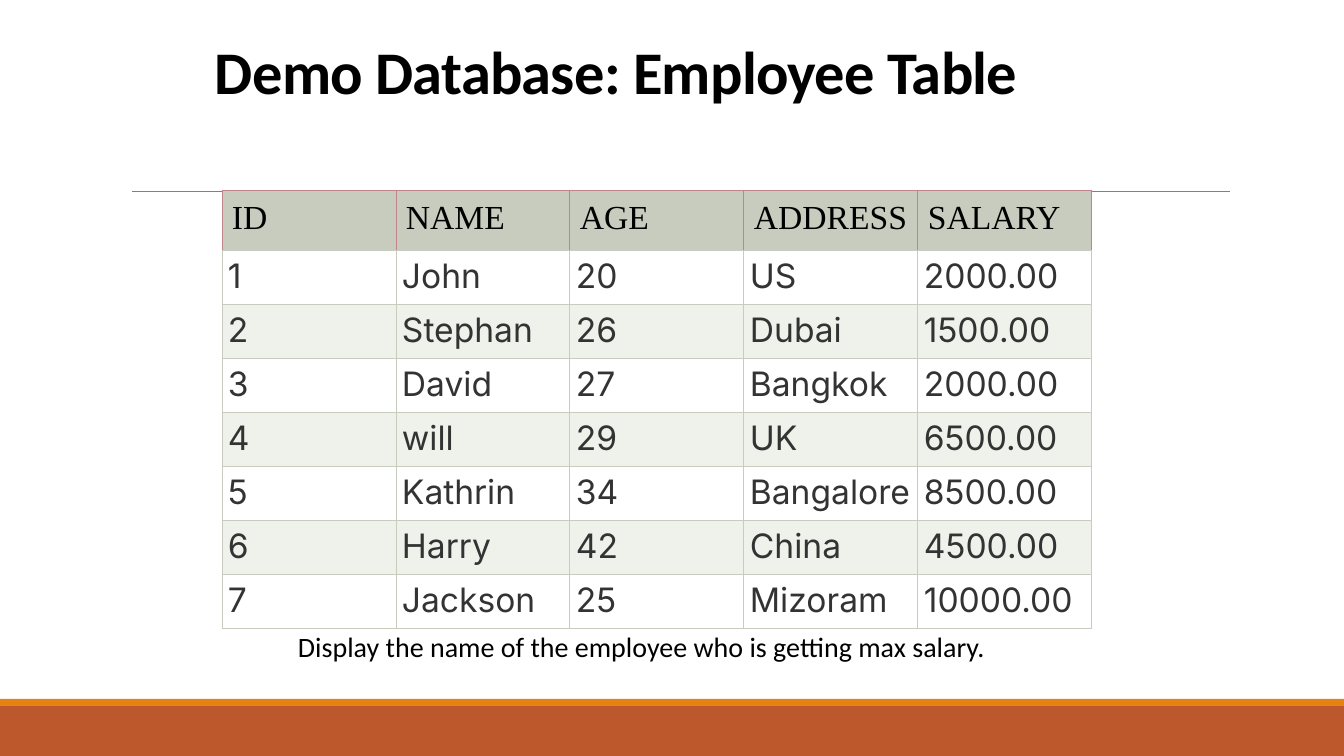
from lxml import etree
from pptx import Presentation
from pptx.dml.color import RGBColor
from pptx.enum.shapes import MSO_CONNECTOR, MSO_SHAPE
from pptx.enum.text import MSO_ANCHOR, PP_ALIGN
from pptx.oxml.ns import qn
from pptx.util import Emu, Pt

RECT, STRAIGHT = MSO_SHAPE.RECTANGLE, MSO_CONNECTOR.STRAIGHT
MIDDLE, TOP = MSO_ANCHOR.MIDDLE, MSO_ANCHOR.TOP
LEFT, JUSTIFY = PP_ALIGN.LEFT, PP_ALIGN.JUSTIFY

TITLE = "Demo Database: Employee Table"
TASK = "Display the name of the employee who is getting max salary."
HEADER = ("ID", "NAME", "AGE", "ADDRESS", "SALARY")
EMPLOYEES = [
    ("1", "John", "20", "US", "2000.00"),
    ("2", "Stephan", "26", "Dubai", "1500.00"),
    ("3", "David", "27", "Bangkok", "2000.00"),
    ("4", "will", "29", "UK", "6500.00"),
    ("5", "Kathrin", "34", "Bangalore", "8500.00"),
    ("6", "Harry", "42", "China", "4500.00"),
    ("7", "Jackson", "25", "Mizoram", "10000.00"),
]


class Theme:
    title_size, cell_size, task_size = 43.2, 24, 20
    text_font, header_font, body_font = "Calibri", "Times New Roman", "Inter"
    ink, body_ink = "000000", "333333"
    band, stripe, rule = "BD582C", "E48312", "808080"
    header_fill, row_fills = "C7CCBE", ("FFFFFF", "EFF1EB")
    grid, header_edge = "C7CCBE", "C0858A"
    rule_width, border_width = 0.5, 0.75


SLIDE_W, SLIDE_H = 1344, 756
BAND_H, STRIPE_H = 50, 7
TABLE_X, TABLE_Y, COL_W = 222, 190, 174
HEADER_H, ROW_H = 57, 54
HEADER_INSET, BODY_INSET = 10, 6


def px(n):
    return Emu(round(n * 914400 / 100.8))


def rgb(value):
    return RGBColor.from_string(value)


def style_run(p, font, size, color, bold=False):
    r = p.runs[0]
    r.font.name, r.font.size, r.font.bold = font, Pt(size), bold
    r.font.color.rgb = rgb(color)
    return r


def add_bar(s, y, h, color):
    sp = s.shapes.add_shape(RECT, 0, px(y), px(SLIDE_W), px(h))
    sp.shadow.inherit = False
    sp.fill.solid()
    sp.fill.fore_color.rgb = rgb(color)
    sp.line.fill.background()


def add_rule(s, x1, x2, y):
    line = s.shapes.add_connector(STRAIGHT, px(x1), px(y), px(x2), px(y))
    line.line.color.rgb = rgb(Theme.rule)
    line.line.width = Pt(Theme.rule_width)
    etree.SubElement(line._element.spPr, qn("a:effectLst"))


def add_text(s, box, text, size, anchor, bold=False):
    tf = s.shapes.add_textbox(*map(px, box)).text_frame
    tf.word_wrap, tf.vertical_anchor = True, anchor
    tf.margin_left = tf.margin_right = px(10)
    tf.margin_top = tf.margin_bottom = px(5)
    tf.text = text
    p = tf.paragraphs[0]
    return p, style_run(p, Theme.text_font, size, Theme.ink, bold)


def set_borders(cell, edge, bottom):
    """Insert the four borders ahead of the cell's fill, as the schema requires."""
    tc_pr = cell._tc.get_or_add_tcPr()
    sides = (("L", edge), ("R", edge), ("T", edge), ("B", bottom))
    for i, (side, color) in enumerate(sides):
        ln = etree.Element(qn("a:ln" + side), w=str(Pt(Theme.border_width)))
        fill = etree.SubElement(ln, qn("a:solidFill"))
        etree.SubElement(fill, qn("a:srgbClr"), val=color)
        tc_pr.insert(i, ln)


def fill_cell(cell, text, font, color, fill, inset, align, edge):
    cell.text_frame.text = text
    cell.margin_left = cell.margin_right = px(inset)
    cell.margin_top = cell.margin_bottom = px(inset)
    p = cell.text_frame.paragraphs[0]
    p.alignment = align
    style_run(p, font, Theme.cell_size, color)
    cell.fill.solid()
    cell.fill.fore_color.rgb = rgb(fill)
    set_borders(cell, edge, Theme.grid)


def add_employee_table(s):
    rows = [HEADER, *EMPLOYEES]
    height = HEADER_H + ROW_H * len(EMPLOYEES)
    table = s.shapes.add_table(len(rows), len(HEADER), px(TABLE_X), px(TABLE_Y),
                               px(COL_W * len(HEADER)), px(height)).table
    table.first_row = table.horz_banding = False
    for col in table.columns:
        col.width = px(COL_W)
    for i, values in enumerate(rows):
        table.rows[i].height = px(ROW_H if i else HEADER_H)
        if i:
            look = (Theme.body_font, Theme.body_ink, Theme.row_fills[(i - 1) % 2],
                    BODY_INSET, JUSTIFY, Theme.grid)
        else:
            look = (Theme.header_font, Theme.ink, Theme.header_fill,
                    HEADER_INSET, LEFT, Theme.header_edge)
        for j, value in enumerate(values):
            fill_cell(table.cell(i, j), value, *look)


def main():
    prs = Presentation()
    prs.slide_width, prs.slide_height = px(SLIDE_W), px(SLIDE_H)
    s = prs.slides.add_slide(prs.slide_layouts[6])

    band_y = SLIDE_H - BAND_H
    add_bar(s, band_y, BAND_H, Theme.band)
    add_bar(s, band_y - STRIPE_H, STRIPE_H, Theme.stripe)
    add_rule(s, 132, 1230, 191)

    p, r = add_text(s, (205, 47, 903, 56), TITLE, Theme.title_size, MIDDLE, bold=True)
    p.line_spacing = 0.9
    r.font._element.set("spc", "-50")
    add_employee_table(s)
    add_text(s, (288, 624, 736, 44), TASK, Theme.task_size, TOP)
    prs.save("out.pptx")


if __name__ == "__main__":
    main()
